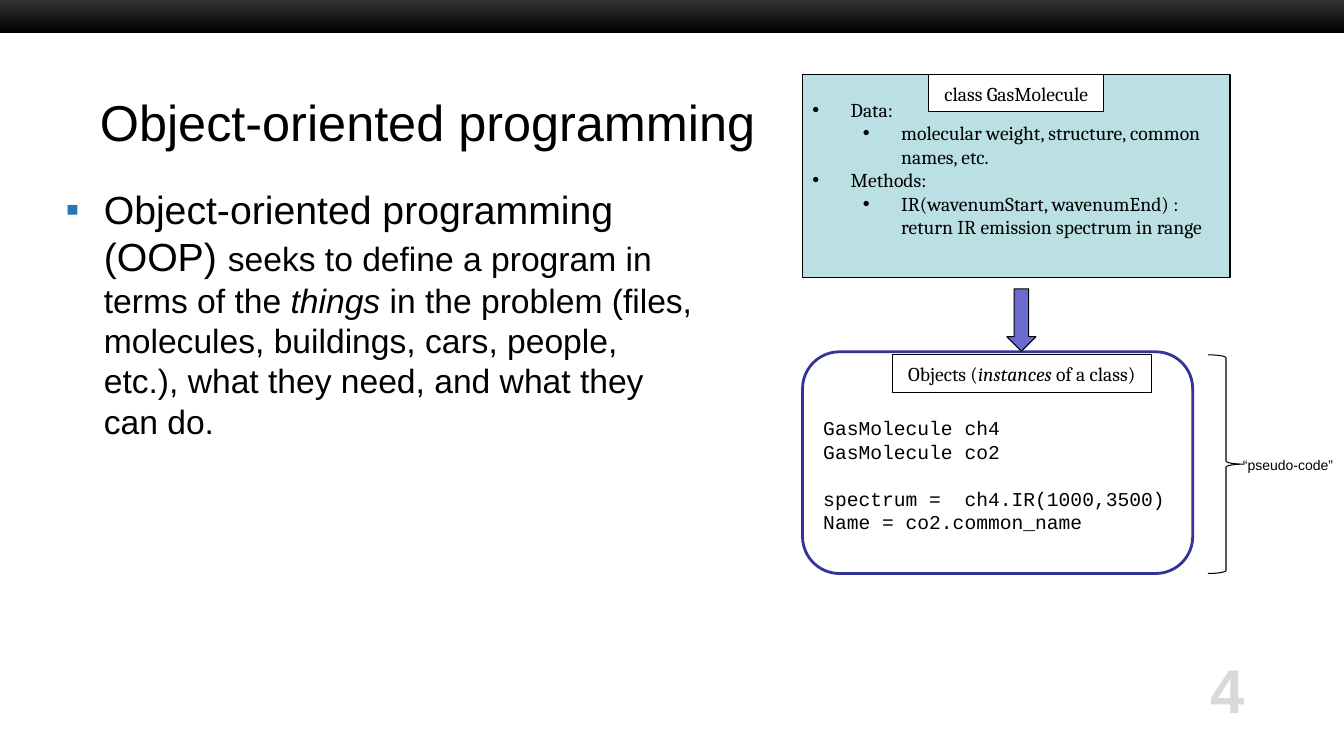
import pptx
import pptx.util
import pptx.dml.color
import pptx.enum.shapes
import pptx.enum.text
import pptx.oxml
import pptx.oxml.ns

WIDE, HIGH = 13.33, 7.5
TITLE = "Object-oriented programming"
BODY = [
    ("Object-oriented programming (OOP) ", {"size": 28}),
    ("seeks to define a program in terms of the ", {}),
    ("things", {"italic": True}),
    (" in the problem (files, molecules, buildings, cars, people, etc.), "
     "what they need, and what they can do.", {}),
]
MEMBERS = [
    (0, "Data:"),
    (1, "molecular weight, structure, common names, etc."),
    (0, "Methods:"),
    (1, "IR(wavenumStart, wavenumEnd) : return IR emission spectrum in range"),
]
CLASS = "class GasMolecule"
OBJECTS = [("Objects (", {}), ("instances", {"italic": True}), (" of a class)", {})]
CODE = [
    ["GasMolecule ch4", "GasMolecule co2"],
    ["spectrum =  ch4.IR(1000,3500)", "Name = co2.common_name"],
]
NOTE = "“pseudo-code”"
PAGE = "4"

LEFT, TAG = 7.96, 0.37          # left edge of the diagram, height of its labels
CLASS_TOP, OBJ_TOP, OBJ_HIGH = 0.74, 3.49, 2.2

KIND = pptx.enum.shapes.MSO_SHAPE
ALIGN = pptx.enum.text.PP_ALIGN
ANCHOR = pptx.enum.text.MSO_ANCHOR
inch, Pt = pptx.util.Inches, pptx.util.Pt


def color(code):
    return pptx.dml.color.RGBColor.from_string(code)


def place(shape, x, y, w, h):
    shape.left, shape.top, shape.width, shape.height = map(inch, (x, y, w, h))


def bullet(para, char, indent, tint=None):
    """Hang the bullet 0.38 inch before the text."""
    props = para._p.get_or_add_pPr()
    props.set("marL", str(inch(indent)))
    props.set("indent", str(-inch(0.38)))
    space = pptx.oxml.ns.nsdecls("a")
    if tint:
        props.append(pptx.oxml.parse_xml(
            f'<a:buClr {space}><a:srgbClr val="{tint}"/></a:buClr>'))
    props.append(pptx.oxml.parse_xml(f'<a:buFont {space} typeface="Arial"/>'))
    props.append(pptx.oxml.parse_xml(f'<a:buChar {space} char="{char}"/>'))


def write(para, text, size=14, face="Cambria", tint="000000", bold=False,
          align=ALIGN.LEFT, before=0):
    """Write a string, or a list of (string, format) runs."""
    para.alignment = align
    para.space_before = Pt(before)
    for words, form in [(text, {})] if isinstance(text, str) else text:
        run = para.add_run()
        run.text = words
        font = run.font
        font.name, font.size = face, Pt(form.get("size", size))
        font.bold, font.italic = bold, form.get("italic", False)
        font.color.rgb = color(tint)


def frame(shape, anchor=ANCHOR.MIDDLE, wrap=True, top=0.05, bottom=0.05):
    """Set up the text frame and return it."""
    box = shape.text_frame
    box.auto_size = pptx.enum.text.MSO_AUTO_SIZE.NONE
    box.word_wrap, box.vertical_anchor = wrap, anchor
    box.margin_left = box.margin_right = inch(0.1)
    box.margin_top, box.margin_bottom = inch(top), inch(bottom)
    return box


def lines(box):
    """Yield the first paragraph, then new ones."""
    yield box.paragraphs[0]
    while True:
        yield box.add_paragraph()


def draw(kind, x, y, w, h, fill=None, edge="000000", weight=0.75):
    shape = slide.shapes.add_shape(kind, *map(inch, (x, y, w, h)))
    shape.shadow.inherit = False
    if fill:
        shape.fill.solid()
        shape.fill.fore_color.rgb = color(fill)
    else:
        shape.fill.background()
    if edge:
        shape.line.color.rgb = color(edge)
        shape.line.width = Pt(weight)
    else:
        shape.line.fill.background()
    return shape


def label(text, x, y, w):
    tag = draw(KIND.RECTANGLE, x, y, w, TAG, "FFFFFF")
    write(frame(tag).paragraphs[0], text, align=ALIGN.CENTER)


def note(text, x, y, w, h, inset=0.05, **form):
    box = slide.shapes.add_textbox(*map(inch, (x, y, w, h)))
    box = frame(box, wrap=False, top=inset, bottom=inset)
    write(box.paragraphs[0], text, face="Arial", **form)


deck = pptx.Presentation()
deck.slide_width, deck.slide_height = inch(WIDE), inch(HIGH)
slide = deck.slides.add_slide(deck.slide_layouts[1])
title, body = slide.placeholders

bar = draw(KIND.RECTANGLE, 0, 0, WIDE, 0.33, edge=None)
bar.fill.gradient()
bar.fill.gradient_angle = 270
for stop, code, spot in zip(bar.fill.gradient_stops, ("333333", "000000"), (0, 1)):
    stop.color.rgb, stop.position = color(code), spot

place(title, 0.89, 0.83, 11.56, 0.75)
write(frame(title).paragraphs[0], TITLE, size=36, face="Arial")

place(body, 0.55, 1.79, 6.42, 5.03)
para = frame(body, ANCHOR.TOP).paragraphs[0]
bullet(para, "▪", 0.38, "2675B4")
write(para, BODY, size=24, face="Arial")

card = draw(KIND.RECTANGLE, LEFT, CLASS_TOP, 4.24, 2.01, "BBE0E3")
for para, (level, text) in zip(lines(frame(card, ANCHOR.BOTTOM, bottom=0.08)), MEMBERS):
    para.level = level
    bullet(para, "•", 0.38 + 0.5 * level)
    write(para, text)
label(CLASS, 9.21, CLASS_TOP, 1.74)

panel = draw(KIND.ROUNDED_RECTANGLE, LEFT, OBJ_TOP, 3.87, OBJ_HIGH, "FFFFFF", "333399", 2)
rows = [(text, 16.8 if part and not row else 0)
        for part, block in enumerate(CODE) for row, text in enumerate(block)]
box = frame(panel, ANCHOR.TOP, top=0.53)
for (text, gap), para in zip(rows, lines(box)):
    para.line_spacing = Pt(16.8)
    write(para, text, face="Courier New", before=gap)
label(OBJECTS, 8.85, OBJ_TOP + 0.03, 2.57)

arrow = draw(KIND.RIGHT_ARROW, 9.82, 3.03, 0.62, 0.29, "6B6BCF")
arrow.rotation = 90
draw(KIND.RIGHT_BRACE, 11.98, OBJ_TOP + 0.03, 0.36, OBJ_HIGH - 0.03)
note(NOTE, 12.23, 4.48, 1.1, 0.27, size=10)
note(PAGE, 10.33, 6.46, 2.11, 0.75, inset=0, size=44, tint="D9D9D9",
     bold=True, align=ALIGN.RIGHT)

deck.save("out.pptx")
